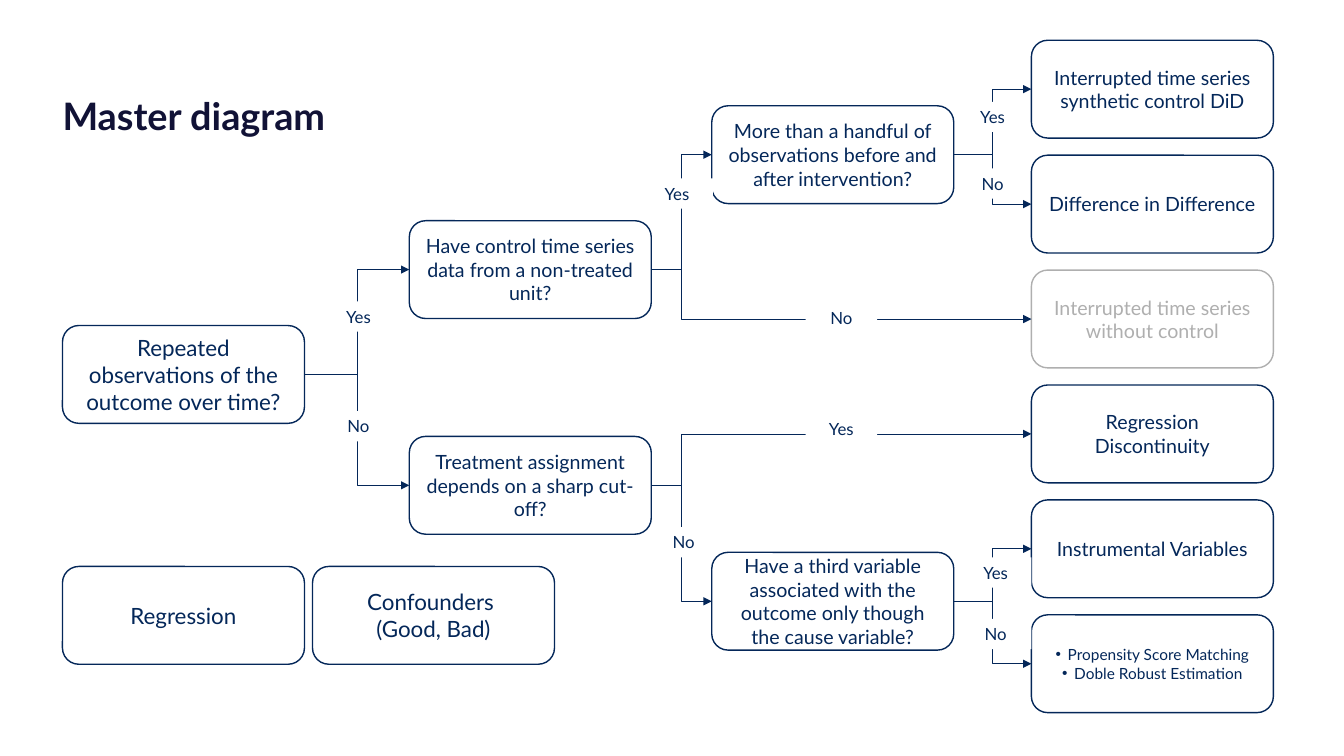
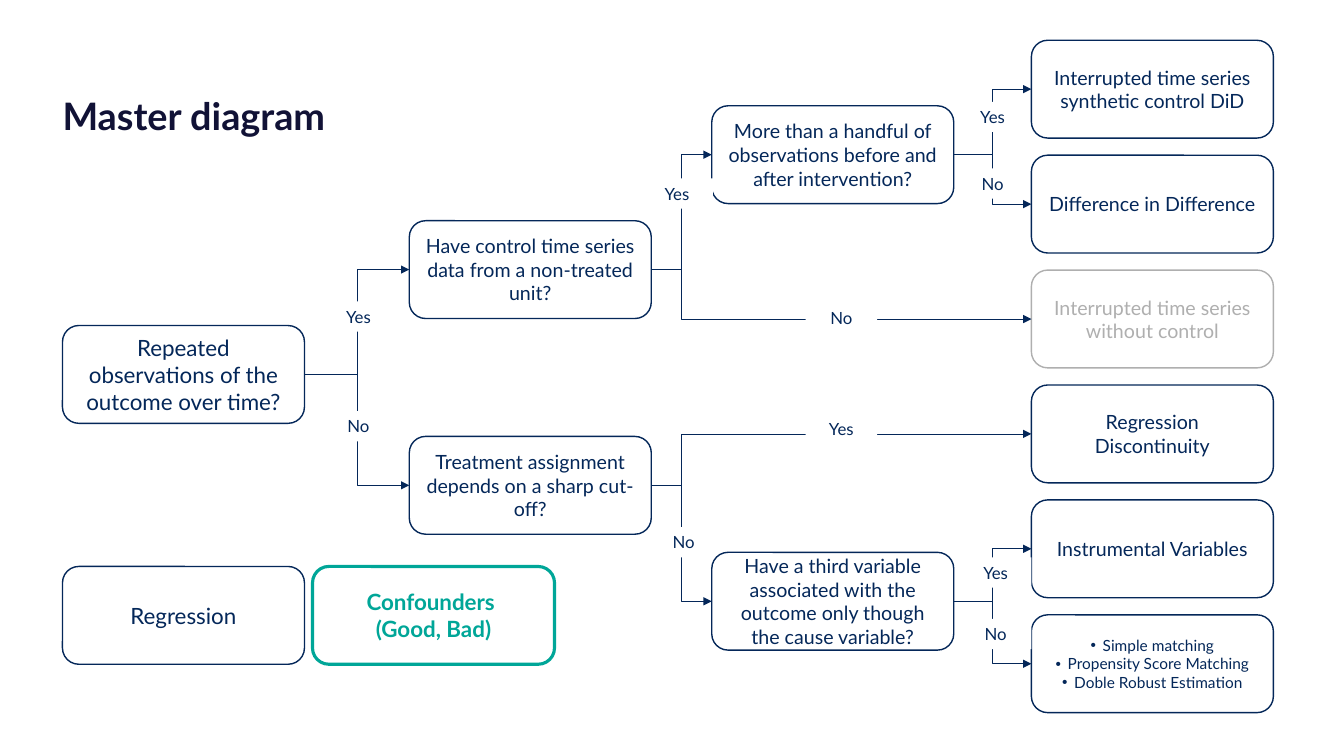
import lxml.etree
import pptx
import pptx.dml.color
import pptx.enum.shapes
import pptx.enum.text
import pptx.oxml.ns
import pptx.util

Inches = pptx.util.Inches
Pt = pptx.util.Pt
RGBColor = pptx.dml.color.RGBColor
Shape = pptx.enum.shapes.MSO_SHAPE
Anchor = pptx.enum.text.MSO_ANCHOR
qn = pptx.oxml.ns.qn

NAVY = RGBColor(0x04, 0x27, 0x59)
INK = RGBColor(0x11, 0x12, 0x36)
GREY = RGBColor(0xAF, 0xAF, 0xAF)
TEAL = RGBColor(0x00, 0xA6, 0x98)
WHITE = RGBColor(0xFF, 0xFF, 0xFF)
FONT = "Lato"

BOX_WIDTH, BOX_HEIGHT = 2.4, 0.97
LABEL_WIDTH, LABEL_HEIGHT = 0.71, 0.3
OUTCOME_LEFT, OUTCOME_STEP = 9.61, 1.14
TOPIC_STEP = 2.48
RIGHT_SIDE, LEFT_SIDE = 3, 1

QUESTIONS = {
    "repeated": (0, 2.83, 16, "Repeated observations of the outcome over time?"),
    "control": (3.44, 1.79, 14, "Have control time series data from a non-treated unit?"),
    "cutoff": (3.44, 3.93, 14, "Treatment assignment depends on a sharp cut-off?"),
    "handful": (6.44, 0.65, 14,
                "More than a handful of observations before and after intervention?"),
    "third": (6.44, 5.08, 14,
              "Have a third variable associated with the outcome only though the cause variable?"),
}

OUTCOMES = {
    "synthetic": "Interrupted time series synthetic control DiD",
    "difference": "Difference in Difference",
    "uncontrolled": "Interrupted time series without control",
    "discontinuity": "Regression Discontinuity",
    "instrumental": "Instrumental Variables",
}

BRANCHES = [
    ("repeated", "control", "Yes", 2.58, 2.59),
    ("repeated", "cutoff", "No", 2.58, 3.68),
    ("control", "handful", "Yes", 5.74, 1.37),
    ("control", "uncontrolled", "No", 7.37, 2.6),
    ("cutoff", "discontinuity", "Yes", 7.37, 3.71),
    ("cutoff", "third", "No", 5.87, 4.83),
    ("handful", "synthetic", "Yes", 8.87, 0.61),
    ("handful", "difference", "No", 8.87, 1.27),
    ("third", "instrumental", "Yes", 8.9, 5.13),
    ("third", "matching", "No", 8.9, 5.74),
]
LONG_BRANCH_BENDS = {"uncontrolled": 8000, "discontinuity": 8000}
NARROW_LABELS = {("cutoff", "third"): 0.58}

MATCHING = ["Propensity Score Matching", "Doble Robust Estimation"]


def write(box, text, size, color, bold=False, align=pptx.enum.text.PP_ALIGN.CENTER):
    frame = box.text_frame
    frame.word_wrap = True
    frame.text = text
    for para in frame.paragraphs:
        para.alignment = align
        for span in para.runs:
            span.font.name = FONT
            span.font.size = Pt(size)
            span.font.bold = bold
            span.font.color.rgb = color
    return frame


def add_bullets(frame):
    indent = Inches(0.12)
    for para in frame.paragraphs:
        properties = para._p.get_or_add_pPr()
        properties.set("marL", str(indent))
        properties.set("indent", str(-indent))
        lxml.etree.SubElement(properties, qn("a:buFont")).set("typeface", "Arial")
        lxml.etree.SubElement(properties, qn("a:buChar")).set("char", "•")


def add_box(page, left, top, text, size, color=NAVY, weight=1, bold=False):
    box = page.shapes.add_shape(Shape.ROUNDED_RECTANGLE, Inches(left), Inches(top),
                                Inches(BOX_WIDTH), Inches(BOX_HEIGHT))
    box.shadow.inherit = False
    box.fill.background()
    box.line.color.rgb = color
    box.line.width = Pt(weight)
    write(box, text, size, color, bold).vertical_anchor = Anchor.MIDDLE
    return box


def add_branch(page, start, end, bend):
    branch = page.shapes.add_connector(pptx.enum.shapes.MSO_CONNECTOR.ELBOW, 0, 0, 0, 0)
    branch.begin_connect(start, RIGHT_SIDE)
    branch.end_connect(end, LEFT_SIDE)
    branch.line.color.rgb = NAVY
    branch.line.width = Pt(0.5)
    properties = branch.element.spPr
    lxml.etree.SubElement(properties.find(qn("a:ln")), qn("a:tailEnd")).set("type", "triangle")
    lxml.etree.SubElement(properties, qn("a:effectLst"))
    if bend:
        guide = lxml.etree.SubElement(properties.find(".//" + qn("a:avLst")), qn("a:gd"))
        guide.set("name", "adj1")
        guide.set("fmla", f"val {bend}")


def add_label(page, left, top, width, text):
    label = page.shapes.add_shape(Shape.RECTANGLE, Inches(left), Inches(top),
                                  Inches(width), Inches(LABEL_HEIGHT))
    label.shadow.inherit = False
    label.fill.solid()
    label.fill.fore_color.rgb = WHITE
    label.line.fill.background()
    frame = write(label, text, 12, NAVY)
    frame.vertical_anchor = Anchor.TOP
    frame.auto_size = pptx.enum.text.MSO_AUTO_SIZE.SHAPE_TO_FIT_TEXT


def draw_title(page, left, top, text):
    title = page.shapes.add_textbox(Inches(left), Inches(top), Inches(7.28), Inches(0.44))
    frame = write(title, text, 27, INK, True, pptx.enum.text.PP_ALIGN.LEFT)
    frame.margin_left = frame.margin_right = frame.margin_top = frame.margin_bottom = 0
    frame.auto_size = pptx.enum.text.MSO_AUTO_SIZE.SHAPE_TO_FIT_TEXT
    frame.paragraphs[0].line_spacing = 1.08


def draw_tree(page, left, top, matching):
    boxes = {}
    for name, (x, y, size, text) in QUESTIONS.items():
        boxes[name] = add_box(page, left + x, top + y, text, size)
    for row, (name, text) in enumerate(OUTCOMES.items()):
        color = GREY if name == "uncontrolled" else NAVY
        boxes[name] = add_box(page, left + OUTCOME_LEFT, top + row * OUTCOME_STEP,
                              text, 14, color)
    boxes["matching"] = add_box(page, left + OUTCOME_LEFT,
                                top + len(OUTCOMES) * OUTCOME_STEP, "\n".join(matching), 11)
    add_bullets(boxes["matching"].text_frame)
    for start, end, *_ in BRANCHES:
        add_branch(page, boxes[start], boxes[end], LONG_BRANCH_BENDS.get(end))
    for start, end, answer, x, y in BRANCHES:
        width = NARROW_LABELS.get((start, end), LABEL_WIDTH)
        add_label(page, left + x, top + y, width, answer)


def draw_topics(page, left, top, highlight):
    add_box(page, left, top, "Regression", 16)
    color, weight = (TEAL, 2.25) if highlight else (NAVY, 1)
    add_box(page, left + TOPIC_STEP, top, "Confounders \n(Good, Bad)", 16,
            color, weight, highlight)


def draw_diagram(deck, matching, highlight):
    page = deck.slides.add_slide(deck.slide_layouts[6])
    draw_title(page, 0.62, 0.88, "Master diagram")
    draw_tree(page, 0.62, 0.4, matching)
    draw_topics(page, 0.62, 5.62, highlight)


def main():
    deck = pptx.Presentation()
    deck.slide_width = Inches(13.33)
    deck.slide_height = Inches(7.5)
    draw_diagram(deck, MATCHING, False)
    draw_diagram(deck, ["Simple matching"] + MATCHING, True)
    deck.save("out.pptx")


if __name__ == "__main__":
    main()
